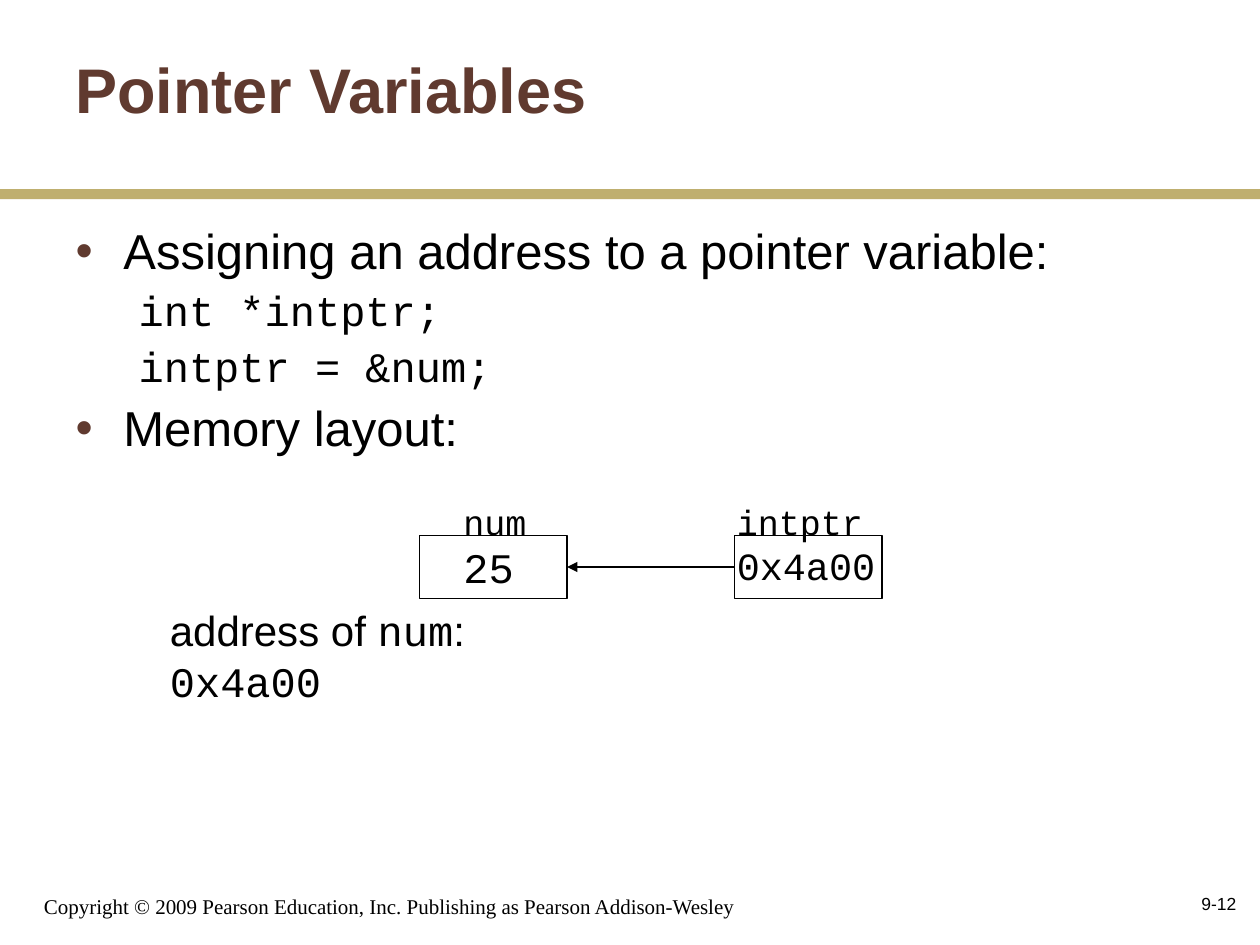
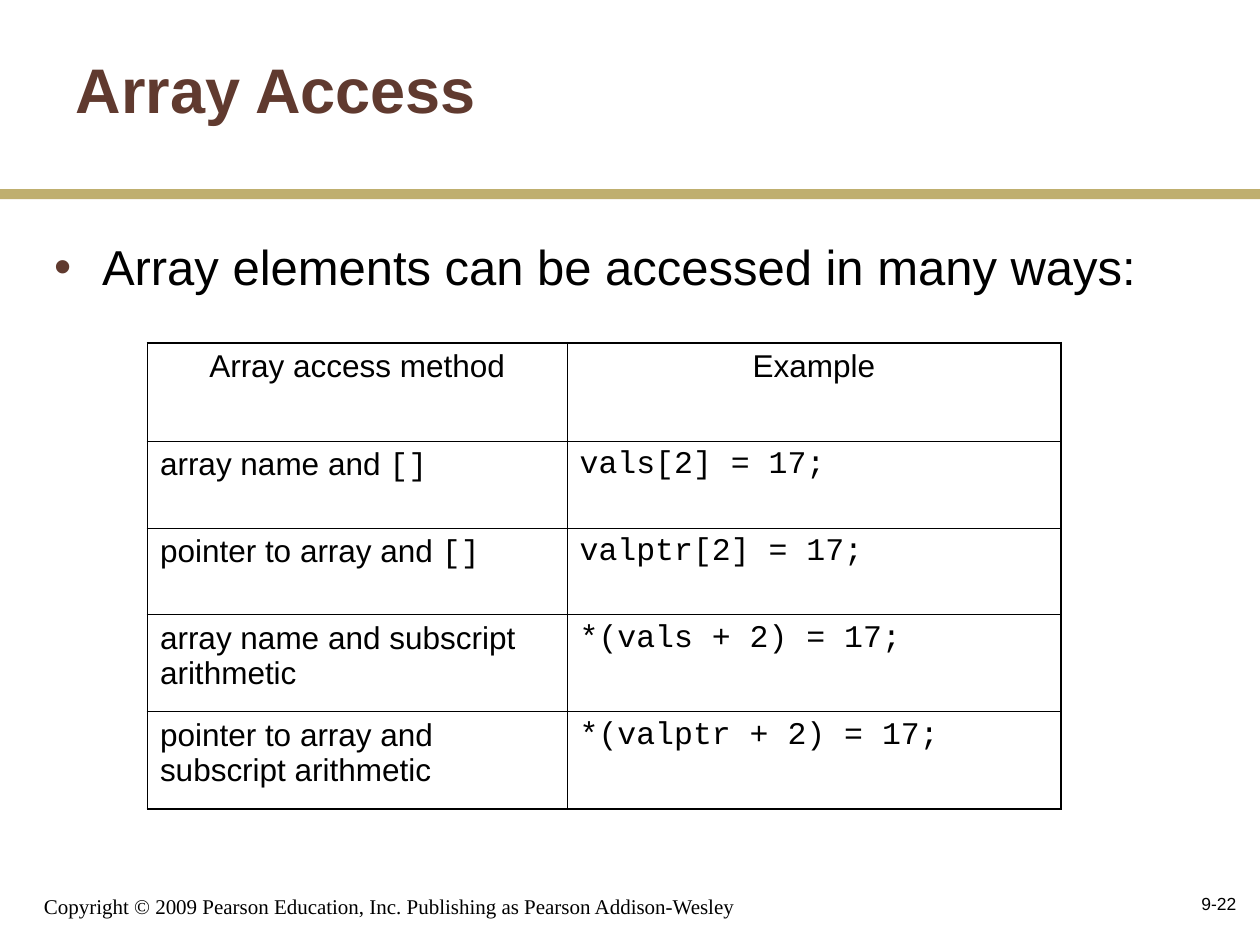
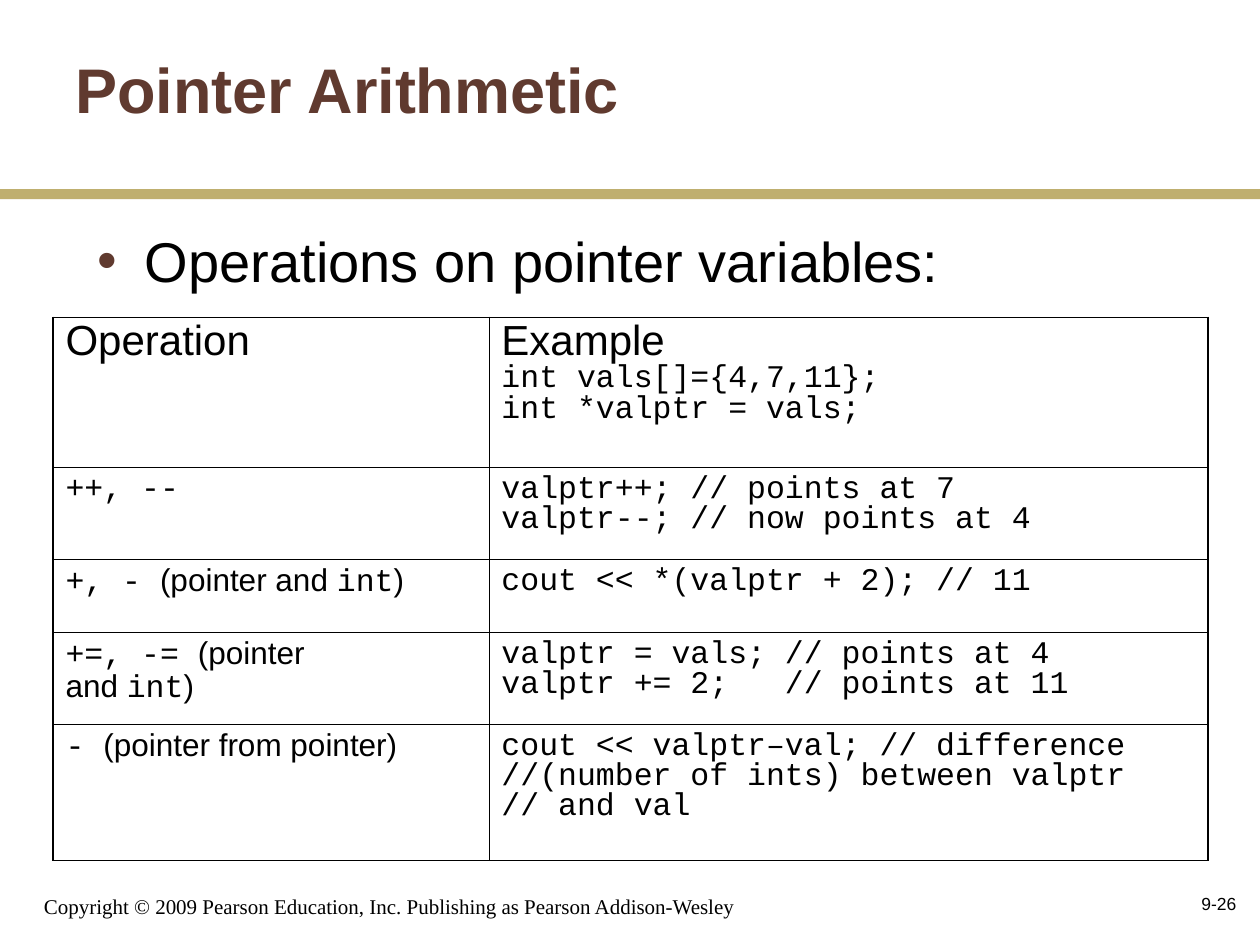
from lxml import etree
from pptx import Presentation
from pptx.dml.color import RGBColor
from pptx.enum.shapes import MSO_CONNECTOR, MSO_SHAPE
from pptx.enum.text import MSO_ANCHOR, MSO_AUTO_SIZE, PP_ALIGN
from pptx.oxml.ns import qn
from pptx.util import Inches, Pt

RECTANGLE = MSO_SHAPE.RECTANGLE
STRAIGHT = MSO_CONNECTOR.STRAIGHT
TOP, MIDDLE, BOTTOM = MSO_ANCHOR.TOP, MSO_ANCHOR.MIDDLE, MSO_ANCHOR.BOTTOM
LEFT, CENTER, RIGHT = PP_ALIGN.LEFT, PP_ALIGN.CENTER, PP_ALIGN.RIGHT
NO_AUTO_SIZE = MSO_AUTO_SIZE.NONE
COLORS = {"text": "000000", "title": "603A2F", "band": "BFAF6F", "paper": "FFFFFF"}
FONTS = {"plain": "Arial", "code": "Courier New", "footer": "Times New Roman"}
COPYRIGHT = "Copyright © 2009 Pearson Education, Inc. Publishing as Pearson Addison-Wesley"
TITLE_BOX = (0.5, 0.08, 8.33, 1.25)
BAND_BOX = (0, 1.5, 10, 0.08)
COPYRIGHT_BOX = (0.25, 6.92, 6.08, 0.42)
NUMBER_BOX = (7.83, 6.92, 2.08, 0.5)
LINE_WIDTH = 0.75
OUTER_BORDER, INNER_BORDER = 1.08, 0.45
CELL_SIZE = 18

ACCESS_ROWS = [
    ("Array access method", "Example"),
    ("array name and `[]`", "`vals[2] = 17;`"),
    ("pointer to array and `[]`", "`valptr[2] = 17;`"),
    ("array name and subscript arithmetic", "`*(vals + 2) = 17;`"),
    ("pointer to array and subscript arithmetic", "`*(valptr + 2) = 17;`"),
]
OPERATION_ROWS = [
    ("Operation", "Example\n`int vals[]={4,7,11};`\n`int *valptr = vals;`"),
    ("`++, --`", "`valptr++; // points at 7`\n`valptr--; // now points at 4`"),
    ("`+, - `(pointer and `int`)", "`cout << *(valptr + 2); // 11`"),
    ("`+=, -= `(pointer\nand `int`)",
     "`valptr = vals; // points at 4`\n`valptr += 2;   // points at 11`"),
    ("`- `(pointer from pointer)",
     "`cout << valptr–val; // difference`\n"
     "`//(number of ints) between valptr`\n`// and val`"),
]


def color(name):
    """Return the named colour."""
    return RGBColor.from_string(COLORS[name])


def inches(box):
    """Return the numbers of a box as lengths."""
    return [Inches(value) for value in box]


def apply_format(target, **values):
    """Set every given attribute on the target."""
    for name, value in values.items():
        setattr(target, name, value)


def write(paragraph, text, size, font="plain", ink="text", bold=False, **layout):
    """Write runs into a paragraph, with code between backticks."""
    apply_format(paragraph, **layout)
    for index, part in enumerate(text.split("`")):
        if part:
            run = paragraph.add_run()
            run.text = part
            name = FONTS["code" if index % 2 else font]
            apply_format(run.font, name=name, size=Pt(size), bold=bold)
            run.font.color.rgb = color(ink)


def next_paragraph(frame, index):
    """Return the first paragraph of a frame or a new one."""
    return frame.add_paragraph() if index else frame.paragraphs[0]


def add_label(slide, box, text, size, anchor=TOP, wrap=False, **style):
    """Add a text box with one line."""
    frame = slide.shapes.add_textbox(*inches(box)).text_frame
    apply_format(frame, word_wrap=wrap, vertical_anchor=anchor)
    write(frame.paragraphs[0], text, size, **style)


def add_rectangle(slide, box):
    """Add a rectangle without shadow."""
    shape = slide.shapes.add_shape(RECTANGLE, *inches(box))
    shape.shadow.inherit = False
    return shape


def place(placeholder, box, anchor):
    """Move a placeholder and return its text frame."""
    names = ("left", "top", "width", "height")
    apply_format(placeholder, **dict(zip(names, inches(box))))
    frame = placeholder.text_frame
    apply_format(frame, word_wrap=True, auto_size=NO_AUTO_SIZE, vertical_anchor=anchor)
    return frame


def add_base_slide(presentation, title, number):
    """Add a slide with title, band and footer."""
    slide = presentation.slides.add_slide(presentation.slide_layouts[1])
    band = add_rectangle(slide, BAND_BOX)
    band.fill.solid()
    band.fill.fore_color.rgb = color("band")
    band.line.fill.background()
    add_label(slide, COPYRIGHT_BOX, COPYRIGHT, 12, BOTTOM, True, font="footer")
    add_label(slide, NUMBER_BOX, number, 10, MIDDLE, True, alignment=RIGHT)
    frame = place(slide.shapes.title, TITLE_BOX, MIDDLE)
    write(frame.paragraphs[0], title, 36, ink="title", bold=True, alignment=LEFT)
    return slide


def set_bullet(paragraph, margin, indent, character=None):
    """Set the indents and the bullet of a paragraph."""
    properties = paragraph._p.get_or_add_pPr()
    properties.set("marL", str(Inches(margin)))
    properties.set("indent", str(Inches(indent)))
    if character is None:
        etree.SubElement(properties, qn("a:buNone"))
        return
    bullet_color = etree.SubElement(properties, qn("a:buClr"))
    etree.SubElement(bullet_color, qn("a:srgbClr"), val=COLORS["title"])
    etree.SubElement(properties, qn("a:buChar"), char=character)


def fill_body(slide, box, items, size=28, line_spacing=1.0):
    """Write bullets at level 0 and code lines at level 1."""
    frame = place(slide.placeholders[1], box, TOP)
    for index, (level, text) in enumerate(items):
        paragraph = next_paragraph(frame, index)
        if level:
            set_bullet(paragraph, 0.81, -0.31)
        else:
            set_bullet(paragraph, 0.38, -0.38, "•")
        space = Pt(7 - level) if index else Pt(0)
        write(paragraph, text, size - 4 * level, level=level,
              line_spacing=line_spacing, space_before=space)


def add_arrow(slide, start, end):
    """Add a straight line with an arrowhead at its end."""
    arrow = slide.shapes.add_connector(STRAIGHT, *inches(start + end))
    arrow.line.color.rgb = color("text")
    arrow.line.width = Pt(LINE_WIDTH)
    etree.SubElement(arrow.line._get_or_add_ln(), qn("a:tailEnd"), type="triangle")
    etree.SubElement(arrow._element.spPr, qn("a:effectLst"))


def add_memory_layout(slide, left, top):
    """Draw the two memory cells, their labels and the address."""
    cell_width, cell_height, pitch = 1.17, 0.5, 2.5
    cell_left, cell_top = left + 2.08, top + 0.33
    cells = [("num", "25", 24, 0.25, (0.7, 0.6)),
             ("intptr", "0x4a00", 22, -0.08, (1.2, 1.3))]
    for index, (name, value, size, shift, widths) in enumerate(cells):
        x = cell_left + index * pitch
        cell = add_rectangle(slide, (x, cell_top, cell_width, cell_height))
        cell.fill.background()
        cell.line.color.rgb = color("text")
        cell.line.width = Pt(LINE_WIDTH)
        add_label(slide, (x + shift, top, widths[0], 0.44), name, 20, font="code")
        add_label(slide, (x + shift, cell_top, widths[1], 0.5), value, size, font="code")
    middle = cell_top + cell_height / 2
    add_arrow(slide, (cell_left + pitch, middle), (cell_left + cell_width, middle))
    add_label(slide, (left, top + 0.83, 3.83, 0.5), "address of `num`: `0x4a00`", 24)


def set_borders(cell, widths):
    """Draw the left, right, top and bottom borders of a cell."""
    properties = cell._tc.get_or_add_tcPr()
    for side, width in zip("LRTB", widths):
        line = etree.SubElement(properties, qn(f"a:ln{side}"), w=str(Pt(width)))
        fill = etree.SubElement(line, qn("a:solidFill"))
        etree.SubElement(fill, qn("a:srgbClr"), val=COLORS["text"])


def add_grid(slide, box, widths, heights, rows, header_size=CELL_SIZE,
             header_alignment=LEFT, line_spacing=1.0):
    """Add a bordered table whose first row is the header."""
    last_row, last_column = len(heights) - 1, len(widths) - 1
    table = slide.shapes.add_table(len(heights), len(widths), *inches(box)).table
    apply_format(table, first_row=False, horz_banding=False)
    for column, width in zip(table.columns, widths):
        column.width = Inches(width)
    for row, height in zip(table.rows, heights):
        row.height = Inches(height)
    for y, texts in enumerate(rows):
        for x, text in enumerate(texts):
            cell = table.cell(y, x)
            edges = (x == 0, x == last_column, y == 0, y == last_row)
            set_borders(cell, [OUTER_BORDER if edge else INNER_BORDER for edge in edges])
            cell.fill.solid()
            cell.fill.fore_color.rgb = color("paper")
            for index, line in enumerate(text.split("\n")):
                size = header_size if y == index == 0 else CELL_SIZE
                write(next_paragraph(cell.text_frame, index), line, size,
                      alignment=LEFT if y else header_alignment,
                      line_spacing=line_spacing)


def build_pointer_variables(presentation):
    """Build the slide on pointer variables."""
    slide = add_base_slide(presentation, "Pointer Variables", "9-12")
    items = [(0, "Assigning an address to a pointer variable:"),
             (1, "`int *intptr;`"), (1, "`intptr = &num;`"), (0, "Memory layout:")]
    fill_body(slide, (0.5, 1.75, 9.08, 4.5), items, line_spacing=0.9)
    add_memory_layout(slide, 1.25, 3.92)


def build_array_access(presentation):
    """Build the slide on array access."""
    slide = add_base_slide(presentation, "Array Access", "9-22")
    items = [(0, "Array elements can be accessed in many ways:")]
    fill_body(slide, (0.33, 1.83, 9.08, 4.83), items)
    add_grid(slide, (1.17, 2.72, 7.25, 3.7), (3.33, 3.92),
             (0.78, 0.69, 0.69, 0.77, 0.77), ACCESS_ROWS, header_alignment=CENTER)


def build_pointer_arithmetic(presentation):
    """Build the slide on pointer arithmetic."""
    slide = add_base_slide(presentation, "Pointer Arithmetic", "9-26")
    items = [(0, "Operations on pointer variables:")]
    fill_body(slide, (0.67, 1.75, 8.58, 4.09), items, size=32)
    add_grid(slide, (0.42, 2.52, 9.17, 4.31), (3.46, 5.71),
             (1.19, 0.73, 0.58, 0.73, 1.08), OPERATION_ROWS,
             header_size=24, line_spacing=0.85)


def main():
    """Build and save the presentation."""
    presentation = Presentation()
    apply_format(presentation, slide_width=Inches(10), slide_height=Inches(7.5))
    build_pointer_variables(presentation)
    build_array_access(presentation)
    build_pointer_arithmetic(presentation)
    presentation.save("out.pptx")


if __name__ == "__main__":
    main()
